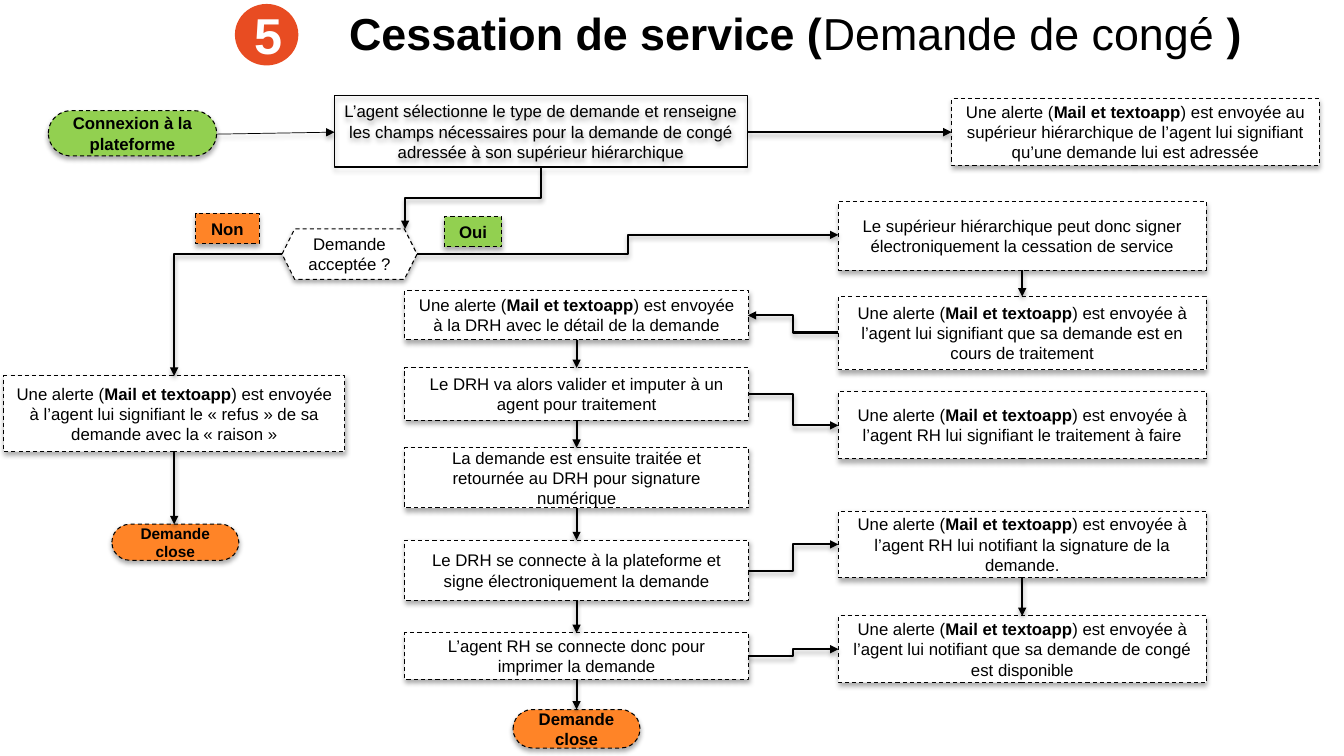
from lxml.etree import SubElement
from pptx import Presentation
from pptx.dml.color import RGBColor
from pptx.enum.dml import MSO_LINE
from pptx.enum.shapes import MSO_CONNECTOR, MSO_SHAPE
from pptx.enum.text import MSO_ANCHOR, PP_ALIGN
from pptx.oxml.ns import qn
from pptx.util import Cm, Pt

COLORS = {"black": "000000", "white": "FFFFFF", "green": "92D050",
          "orange": "FF8427", "red": "E84C22"}
ALERT = "Une alerte (**Mail et textoapp**) est envoyée "


def color(name):
    return RGBColor.from_string(COLORS[name])


def write(shape, text, size, ink="black"):
    """Fill a shape with centred text; ** switches bold on and off."""
    frame = shape.text_frame
    frame.word_wrap = True
    frame.vertical_anchor = MSO_ANCHOR.MIDDLE
    paragraph = frame.paragraphs[0]
    paragraph.alignment = PP_ALIGN.CENTER
    for index, part in enumerate(text.split("**")):
        if part:
            run = paragraph.add_run()
            run.text = part
            run.font.name = "Arial"
            run.font.size = Pt(size)
            run.font.bold = index % 2 == 1
            run.font.color.rgb = color(ink)


prs = Presentation()
prs.slide_width, prs.slide_height = Cm(33.87), Cm(19.05)
slide = prs.slides.add_slide(prs.slide_layouts[6])
shapes = slide.shapes

# Title and step number
title = shapes.add_textbox(Cm(8.13), Cm(0), Cm(23.83), Cm(1.65))
write(title, "**Cessation de service (**Demande de congé **)**", 32)
number = shapes.add_shape(MSO_SHAPE.OVAL, Cm(5.92), Cm(0.1), Cm(1.6), Cm(1.55))
number.shadow.inherit = False
number.fill.solid()
number.fill.fore_color.rgb = color("red")
number.line.fill.background()
write(number, "**5**", 36, "white")

# Steps: preset, left, top, width, height, fill, text size, text
RECT, PILL, CHOICE = MSO_SHAPE.RECTANGLE, MSO_SHAPE.ROUNDED_RECTANGLE, MSO_SHAPE.HEXAGON
steps = [
    (PILL, 1.22, 2.79, 4.24, 1.14, "green", 12, "**Connexion à la plateforme**"),
    (RECT, 8.43, 2.41, 10.41, 1.8, None, 12,
     "L’agent sélectionne le type de demande et renseigne les champs nécessaires "
     "pour la demande de congé adressée à son supérieur hiérarchique"),
    (RECT, 23.98, 2.49, 9.27, 1.68, "white", 12,
     ALERT + "au supérieur hiérarchique de l’agent lui signifiant "
     "qu’une demande lui est adressée"),
    (CHOICE, 7.11, 5.77, 3.4, 1.27, "white", 12, "Demande acceptée ?"),
    (RECT, 4.93, 5.38, 1.6, 0.76, "orange", 12, "**Non**"),
    (RECT, 11.2, 5.46, 1.45, 0.76, "green", 12, "**Oui**"),
    (RECT, 0.1, 9.47, 8.59, 1.91, "white", 12,
     ALERT + "à l’agent lui signifiant le « refus » de sa demande avec la « raison »"),
    (PILL, 2.82, 13.21, 3.2, 0.91, "orange", 11, "**Demande close**"),
    (PILL, 12.93, 17.88, 3.2, 0.97, "orange", 12, "**Demande close**"),
]
hr_steps = [
    (7.32, 1.24, ALERT + "à la DRH avec le détail de la demande"),
    (9.27, 1.32, "Le DRH va alors valider et imputer à un agent pour traitement"),
    (11.28, 1.52, "La demande est ensuite traitée et retournée au DRH pour signature numérique"),
    (13.61, 1.52, "Le DRH se connecte à la plateforme et signe électroniquement la demande"),
    (15.95, 1.17, "L’agent RH se connecte donc pour imprimer la demande"),
]
notices = [
    (5.08, 1.73, "Le supérieur hiérarchique peut donc signer électroniquement "
     "la cessation de service"),
    (7.47, 1.85, ALERT + "à l’agent lui signifiant que sa demande est en cours de traitement"),
    (9.86, 1.7, ALERT + "à l’agent RH lui signifiant le traitement à faire"),
    (12.88, 1.68, ALERT + "à l’agent RH lui notifiant la signature de la demande."),
    (15.52, 1.68, ALERT + "à l’agent lui notifiant que sa demande de congé est disponible"),
]
for left, width, column in ((10.2, 8.67, hr_steps), (21.13, 9.27, notices)):
    steps += [(RECT, left, top, width, height, "white", 12, text)
              for top, height, text in column]

shadowed = []
for preset, left, top, width, height, fill, size, text in steps:
    step = shapes.add_shape(preset, Cm(left), Cm(top), Cm(width), Cm(height))
    if preset == PILL:
        step.adjustments[0] = 0.5
    if fill:
        step.fill.solid()
        step.fill.fore_color.rgb = color(fill)
    else:
        step.fill.background()
    step.line.color.rgb = color("black")
    step.line.width = Pt(0.75)
    if fill:
        step.line.dash_style = MSO_LINE.DASH
    write(step, text, size)
    shadowed.append(step)

# Arrows: from x, from y, to x, to y
STRAIGHT, ELBOW = MSO_CONNECTOR.STRAIGHT, MSO_CONNECTOR.ELBOW
HR_X, NOTICE_X, REFUSAL_X = 14.53, 25.76, 4.39
straight = [
    (5.46, 3.38, 8.43, 3.33),
    (18.85, 3.33, 23.98, 3.33),
    (REFUSAL_X, 11.38, REFUSAL_X, 13.21),
    (NOTICE_X, 6.81, NOTICE_X, 7.47),
    (NOTICE_X, 14.56, NOTICE_X, 15.52),
]
next_tops = [top for top, _, _ in hr_steps[1:]] + [17.88]
straight += [(HR_X, top + height, HR_X, next_top)
             for (top, height, _), next_top in zip(hr_steps, next_tops)]
bent = [
    (7.11, 6.4, REFUSAL_X, 9.47),
    (11.15, 3.28, 12.7, 6.71),
    (10.52, 6.4, 21.13, 5.92),
    (21.13, 8.38, 18.85, 7.95),
    (18.85, 9.93, 21.13, 10.72),
    (18.85, 14.38, 21.13, 13.72),
    (18.85, 16.54, 21.13, 16.36),
]
arrows = [[shapes.add_connector(kind, *map(Cm, ends)) for ends in group]
          for kind, group in ((STRAIGHT, straight), (ELBOW, bent))]
login_arrow = arrows[0][0]
refusal_arrow, choice_arrow = arrows[1][:2]
refusal_arrow._element.spPr.find(qn("a:prstGeom")).set("prst", "bentConnector2")
choice_arrow._element.spPr.find(qn("a:xfrm")).set("rot", "5400000")

for arrow in arrows[0] + arrows[1]:
    arrow.line.color.rgb = color("black")
    arrow.line.width = Pt(0.5 if arrow is login_arrow else 1.5)
    SubElement(arrow.line._get_or_add_ln(), qn("a:tailEnd"), type="triangle")
    shadowed.append(arrow)

# Soft shadow straight below every step and arrow
for item in shadowed:
    effects = SubElement(item._element.spPr, qn("a:effectLst"))
    shadow = SubElement(effects, qn("a:outerShdw"), blurRad=str(Pt(3.5)),
                        dist=str(Pt(2.2)), dir="5400000", rotWithShape="0")
    tint = SubElement(shadow, qn("a:srgbClr"), val=COLORS["black"])
    SubElement(tint, qn("a:alpha"), val="32000")

prs.save("out.pptx")
